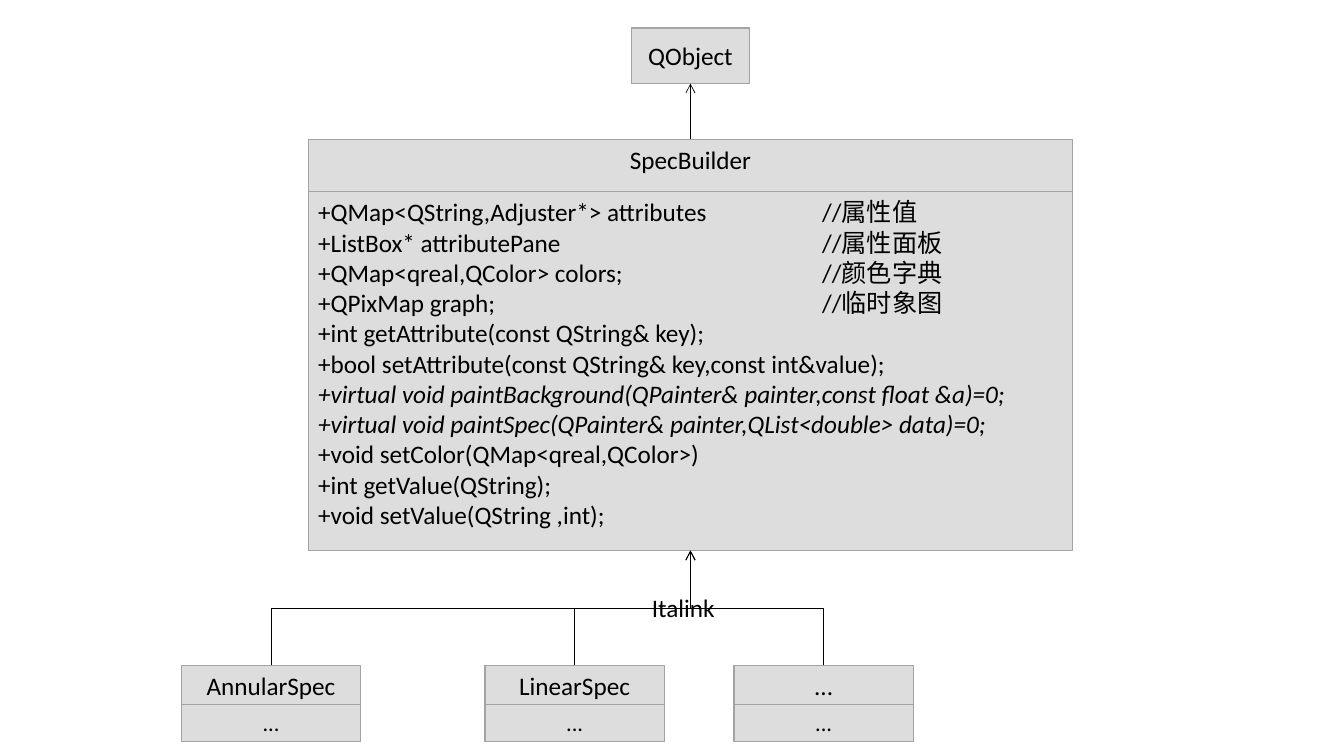
import pptx
import pptx.util
import pptx.dml.color
import pptx.enum.shapes
import pptx.enum.text
import pptx.oxml.ns
from lxml import etree

Pt = pptx.util.Pt
RGBColor = pptx.dml.color.RGBColor
CONNECTOR = pptx.enum.shapes.MSO_CONNECTOR
ALIGN = pptx.enum.text.PP_ALIGN
ANCHOR = pptx.enum.text.MSO_ANCHOR
qn = pptx.oxml.ns.qn

BOX_FILL = RGBColor(0xDD, 0xDD, 0xDD)
BOX_LINE = RGBColor(0xA3, 0xA3, 0xA3)
BLACK = RGBColor(0, 0, 0)
WHITE = RGBColor(0xFF, 0xFF, 0xFF)

FONT = "Calibri"
AXIS = 493.2  # centre line of the inheritance tree
COMMENT_TAB = 360

MEMBERS = [
    "+QMap<QString,Adjuster*> attributes\t//属性值",
    "+ListBox* attributePane\t//属性面板",
    "+QMap<qreal,QColor> colors;\t//颜色字典",
    "+QPixMap graph;\t//临时象图",
    "+int getAttribute(const QString& key);",
    "+bool setAttribute(const QString& key,const int&value);",
    "+virtual void paintBackground(QPainter& painter,const float &a)=0;",
    "+virtual void paintSpec(QPainter& painter,QList<double> data)=0;",
    "+void setColor(QMap<qreal,QColor>)",
    "+int getValue(QString);",
    "+void setValue(QString ,int);",
]
# Left edge and name of each derived class
DERIVED = [(346.3, "LinearSpec"), (129.5, "AnnularSpec"), (524.2, "...")]


def write(tf, lines, size, align):
    for i, line in enumerate(lines):
        p = tf.paragraphs[0] if i == 0 else tf.add_paragraph()
        p.alignment = align
        if "\t" in line:
            tabs = etree.SubElement(p._p.get_or_add_pPr(), qn("a:tabLst"))
            etree.SubElement(tabs, qn("a:tab"), pos=str(Pt(COMMENT_TAB)), algn="l")
        r = p.add_run()
        r.text = line
        r.font.name = FONT
        r.font.size = Pt(size)
        r.font.color.rgb = BLACK
        r.font.italic = line.startswith("+virtual")


def add_box(shapes, x, y, w, h, lines, size=18, align=ALIGN.CENTER, anchor=ANCHOR.TOP):
    sp = shapes.add_shape(pptx.enum.shapes.MSO_SHAPE.RECTANGLE, Pt(x), Pt(y), Pt(w), Pt(h))
    sp.shadow.inherit = False
    sp.fill.solid()
    sp.fill.fore_color.rgb = BOX_FILL
    sp.line.color.rgb = BOX_LINE
    sp.line.width = Pt(1)
    tf = sp.text_frame
    tf.word_wrap = True
    tf.vertical_anchor = anchor
    write(tf, lines, size, align)
    return sp


def add_class(slide, x, y, w, head_h, body_h, name, members, size, align):
    """Grouped class box; returns its name and member compartments."""
    shapes = slide.shapes.add_group_shape().shapes
    body = add_box(shapes, x, y + head_h, w, body_h, members, size, align)
    head = add_box(shapes, x, y, w, head_h, [name])
    return head, body


def add_arrow(slide, child, parent, kind):
    """Arrow from the top of child to the bottom of parent."""
    c = slide.shapes.add_connector(kind, 0, 0, 0, 0)
    c.begin_connect(child, 0)
    c.end_connect(parent, 2)
    c.line.color.rgb = BLACK
    c.line.width = Pt(0.5)
    spPr = c._element.spPr
    etree.SubElement(c.line._get_or_add_ln(), qn("a:tailEnd"), type="arrow")
    etree.SubElement(spPr, qn("a:effectLst"))
    if kind == CONNECTOR.ELBOW:
        # A quarter turn makes the elbow leave and arrive vertically
        x1, y1 = child.left + child.width // 2, child.top
        x2, y2 = parent.left + parent.width // 2, parent.top + parent.height
        w, h = y1 - y2, abs(x2 - x1)
        c.left, c.top = (x1 + x2 - w) // 2, (y1 + y2 - h) // 2
        c.width, c.height = w, h
        xfrm = spPr.find(qn("a:xfrm"))
        xfrm.set("rot", str(270 * 60000))
        xfrm.set("flipH", "0")
        xfrm.set("flipV", "1" if x1 > x2 else "0")


def add_label(slide, x, y, w, h, text):
    tf = slide.shapes.add_textbox(Pt(x), Pt(y), Pt(w), Pt(h)).text_frame
    tf.word_wrap = True
    write(tf, [text], 18, ALIGN.LEFT)


def class_diagram(slide):
    # Root class
    root = add_box(slide.shapes, AXIS - 42, 20, 84, 39.75, ["QObject"], anchor=ANCHOR.MIDDLE)

    # Abstract base class
    head, body = add_class(slide, AXIS - 273, 99.5, 546, 37.5, 256.3,
                           "SpecBuilder", MEMBERS, 18, ALIGN.LEFT)
    add_arrow(slide, head, root, CONNECTOR.STRAIGHT)

    # Derived classes
    for x, name in DERIVED:
        child, _ = add_class(slide, x, 475.2, 128.2, 28, 26.6, name, ["..."], 16, ALIGN.CENTER)
        add_arrow(slide, child, body, CONNECTOR.ELBOW)

    # Label on the junction
    add_label(slide, 458.6, 419.8, 95, 29, "Italink")


def main():
    prs = pptx.Presentation()
    prs.slide_width, prs.slide_height = Pt(960), Pt(540)
    slide = prs.slides.add_slide(prs.slide_layouts[6])
    slide.background.fill.solid()
    slide.background.fill.fore_color.rgb = WHITE
    class_diagram(slide)
    prs.save("out.pptx")


if __name__ == "__main__":
    main()
